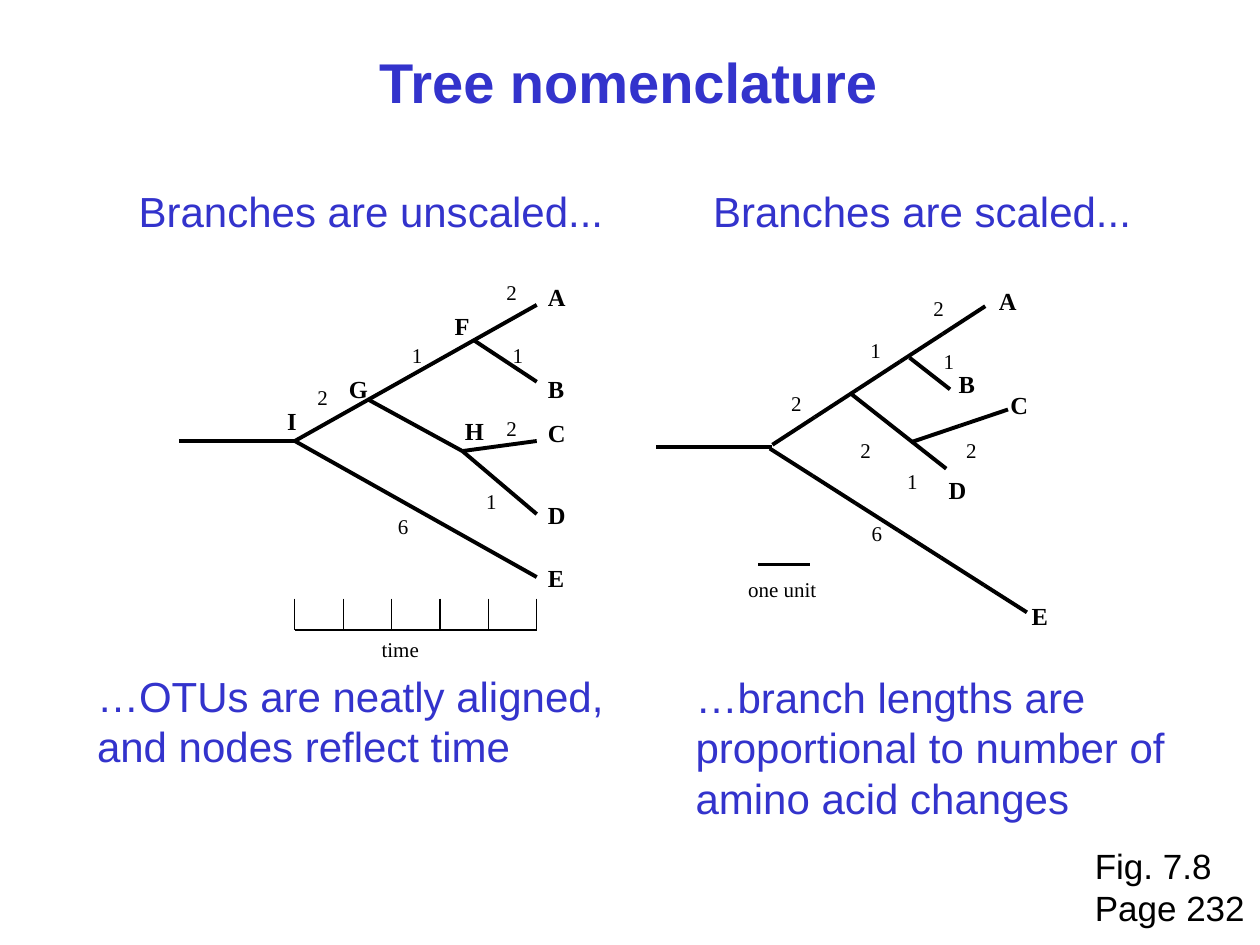
from lxml import etree
from pptx import Presentation
from pptx.dml.color import RGBColor
from pptx.enum.shapes import MSO_CONNECTOR as Connector
from pptx.enum.text import MSO_ANCHOR as Anchor, MSO_AUTO_SIZE as AutoSize, PP_ALIGN as Align
from pptx.oxml.ns import qn
from pptx.util import Inches, Pt

COLUMNS, ROWS = 100, 75
WIDTH, HEIGHT = Inches(10), Inches(7.5)
BLUE, BLACK = "3333CC", "000000"

UNSCALED_NODES = {
    "root": (14.2, 35), "I": (23.4, 35), "G": (29.2, 31.7), "F": (37.6, 27),
    "H": (36.7, 35.8), "A": (42.6, 24.2), "B": (42.6, 30.3), "C": (42.6, 35),
    "D": (42.6, 40.8), "E": (42.6, 45.8),
}
UNSCALED_BRANCHES = ["root I", "I E", "I A", "F B", "G H", "H C", "H D"]
UNSCALED_TAXA = [
    ("A", 42.5, 21.9), ("B", 42.5, 29.2), ("C", 42.5, 32.7), ("D", 42.5, 39.2),
    ("E", 42.5, 44.2), ("F", 35.1, 24.2), ("G", 26.7, 29.2), ("H", 35.9, 32.5),
    ("I", 21.8, 31.7),
]
UNSCALED_LENGTHS = [
    ("6", 30.6, 40.3), ("2", 24.2, 30), ("1", 31.7, 26.7), ("1", 39.7, 26.7),
    ("2", 39.2, 21.7), ("1", 37.6, 38.3), ("2", 39.2, 32.5), ("time", 29.3, 50),
]
SCALED_BRANCHES = [
    ((52.1, 35.5), (61.3, 35.5), 1), ((61.1, 35.6), (81.5, 48.6), 6),
    ((61.3, 35.3), (78.2, 24.3), 5), ((67.6, 31.3), (75.1, 37.2), 1),
    ((72.3, 35.1), (80, 32.5), 2), ((72.2, 28.4), (75.4, 30.9), 1),
    ((60.2, 44.8), (64.3, 44.8), 1),
]
SCALED_TAXA = [
    ("A", 78.3, 22.2), ("B", 75.1, 28.8), ("C", 79.2, 30.5), ("D", 74.3, 37.2),
    ("E", 80.9, 47.2),
]
SCALED_LENGTHS = [
    ("6", 68.2, 40.8), ("1", 68.1, 26.3), ("2", 61.8, 30.5), ("2", 73.1, 23),
    ("1", 71, 36.7), ("2", 75.7, 34.2), ("1", 73.9, 27.2), ("2", 67.3, 34.2),
    ("one unit", 58.4, 45.3),
]
LABEL_WIDTHS = {"B": 3.3, "E": 3.3, "F": 3.2, "G": 3.5, "H": 3.5, "I": 2.7,
                "time": 4.9, "one unit": 7.4}
PLACEHOLDER_TEXTS = [
    (0, ["Tree nomenclature"], (29.1, 3.3, 41.8, 6.4), 32),
    (1, ["Branches are unscaled..."], (10, 14.2, 38.9, 5), 24),
    (3, ["Branches are scaled..."], (55.6, 14.2, 35.1, 5), 24),
    (2, ["…OTUs are neatly aligned,", "and nodes reflect time"], (6.7, 52.7, 42.2, 9), 24),
    (4, ["…branch lengths are", "proportional to number of", "amino acid changes"],
     (54.2, 52.8, 39.2, 13), 24),
]


def across(column):
    """Convert grid columns to a length."""
    return round(WIDTH * column / COLUMNS)


def down(row):
    """Convert grid rows to a length."""
    return round(HEIGHT * row / ROWS)


def color(hex_code):
    """Turn a hex string into a colour."""
    return RGBColor.from_string(hex_code)


def write(frame, lines, size, hex_code, font_name, bold=False):
    """Fill a text frame with left-aligned, unbulleted lines."""
    frame.text = "\n".join(lines)
    frame.word_wrap = False
    frame.auto_size = AutoSize.NONE
    frame.vertical_anchor = Anchor.TOP
    for paragraph in frame.paragraphs:
        paragraph.alignment = Align.LEFT
        paragraph.space_before = Pt(0)
        properties = paragraph._p.get_or_add_pPr()
        properties.set("marL", "0")
        properties.set("indent", "0")
        etree.SubElement(properties, qn("a:buNone"))
        font = paragraph.font
        font.name, font.size, font.bold = font_name, Pt(size), bold
        font.color.rgb = color(hex_code)


def fill_placeholder(slide, index, lines, box, size):
    """Move a layout placeholder and write its blue text with room on the right."""
    holder = slide.placeholders[index]
    left, top, width, height = box
    holder.left, holder.top = across(left), down(top)
    holder.width, holder.height = across(width), down(height)
    write(holder.text_frame, lines, size, BLUE, "Arial", bold=index == 0)
    holder.text_frame.margin_right = 0


def add_text(shapes, lines, box, size, font_name, bold=False):
    """Add a black text box."""
    left, top, width, height = box
    caption = shapes.add_textbox(across(left), down(top), across(width), down(height))
    write(caption.text_frame, lines, size, BLACK, font_name, bold)


def add_labels(shapes, taxa, lengths):
    """Add the bold taxon letters and the branch lengths of a tree."""
    for labels, size, width, height, bold in ((taxa, 14, 3.4, 3.4, True),
                                              (lengths, 12, 2.8, 3, False)):
        for label, left, top in labels:
            box = (left, top, LABEL_WIDTHS.get(label, width), height)
            add_text(shapes, [label], box, size, "Times New Roman", bold)


def add_line(shapes, start, end, weight=2.25):
    """Draw one straight black line."""
    branch = shapes.add_connector(Connector.STRAIGHT, across(start[0]), down(start[1]),
                                  across(end[0]), down(end[1]))
    branch.line.color.rgb = color(BLACK)
    branch.line.width = Pt(weight)
    etree.SubElement(branch._element.spPr, qn("a:effectLst"))


def add_scaled_branch(shapes, start, end, units):
    """Draw a branch as equal one-unit segments."""
    joints = [tuple(a + (b - a) * step / units for a, b in zip(start, end))
              for step in range(units + 1)]
    for joint, following in zip(joints, joints[1:]):
        add_line(shapes, joint, following)


def add_time_axis(shapes, left=23.4, right=42.6, top=47.5, base=50, intervals=5):
    """Draw the time scale with evenly spaced ticks."""
    add_line(shapes, (right, base), (left, base), 0.75)
    for tick in range(intervals + 1):
        column = left + (right - left) * tick / intervals
        add_line(shapes, (column, top), (column, base), 0.75)


def add_unscaled_tree(shapes):
    """Build the tree whose tips are aligned."""
    for branch in UNSCALED_BRANCHES:
        add_line(shapes, *(UNSCALED_NODES[node] for node in branch.split()))
    add_time_axis(shapes)
    add_labels(shapes, UNSCALED_TAXA, UNSCALED_LENGTHS)


def add_scaled_tree(shapes):
    """Build the tree whose branch lengths count changes."""
    for start, end, units in SCALED_BRANCHES:
        add_scaled_branch(shapes, start, end, units)
    add_labels(shapes, SCALED_TAXA, SCALED_LENGTHS)


def main():
    """Build and save the slide."""
    deck = Presentation()
    deck.slide_width, deck.slide_height = WIDTH, HEIGHT
    slide = deck.slides.add_slide(deck.slide_layouts.get_by_name("Comparison"))
    for index, lines, box, size in PLACEHOLDER_TEXTS:
        fill_placeholder(slide, index, lines, box, size)
    add_unscaled_tree(slide.shapes.add_group_shape().shapes)
    add_scaled_tree(slide.shapes)
    add_text(slide.shapes, ["Fig. 7.8", "Page 232"], (85.9, 66.5, 13.9, 7.7), 20, "Arial")
    deck.save("out.pptx")


if __name__ == "__main__":
    main()
